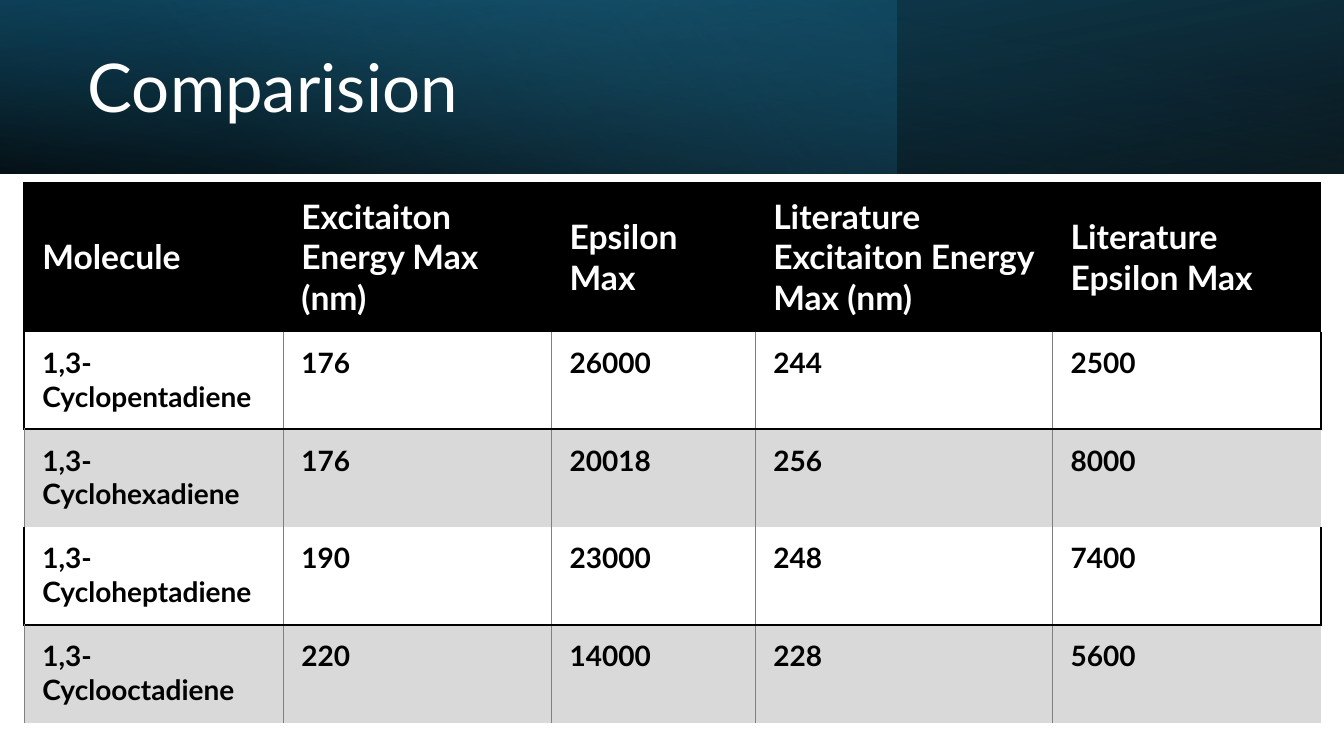
from lxml import etree
from pptx import Presentation
from pptx.dml.color import RGBColor
from pptx.enum.shapes import MSO_SHAPE
from pptx.enum.text import MSO_ANCHOR, MSO_AUTO_SIZE, PP_ALIGN
from pptx.oxml import parse_xml
from pptx.oxml.ns import nsdecls, qn
from pptx.util import Inches, Pt

RECT = MSO_SHAPE.RECTANGLE
MIDDLE, TOP = MSO_ANCHOR.MIDDLE, MSO_ANCHOR.TOP
LEFT = PP_ALIGN.LEFT
NO_AUTOSIZE = MSO_AUTO_SIZE.NONE

WHITE = RGBColor(0xFF, 0xFF, 0xFF)
BLACK = RGBColor(0x00, 0x00, 0x00)
BAND_GRAY = RGBColor(0xD9, 0xD9, 0xD9)
RULE_GRAY = RGBColor(0x80, 0x80, 0x80)
DEEP_TEAL = RGBColor(0x10, 0x48, 0x62)
TEAL = RGBColor(0x15, 0x60, 0x82)
SKY = RGBColor(0x46, 0xB1, 0xE1)

FONT = "Lato"
PLAIN_TABLE = "{2D5ABB26-0587-4C30-8999-92F81FD0307C}"
THICK, THIN = (BLACK, 1.5), (RULE_GRAY, 0.5)

BANNER_HEIGHT = 1.72
COLUMN_WIDTHS = [2.57, 2.66, 2.02, 2.95, 2.66]
ROW_HEIGHT = 0.97
ROWS = [
    ["Molecule", "Excitaiton Energy Max (nm)", "Epsilon Max",
     "Literature Excitaiton Energy Max (nm)", "Literature Epsilon Max"],
    ["1,3-Cyclopentadiene", "176", "26000", "244", "2500"],
    ["1,3-Cyclohexadiene", "176", "20018", "256", "8000"],
    ["1,3-Cycloheptadiene", "190", "23000", "248", "7400"],
    ["1,3-Cyclooctadiene", "220", "14000", "228", "5600"],
]


def write_text(tf, text, size, color, bold=False, spacing=None):
    p = tf.paragraphs[0]
    p.alignment = LEFT
    if spacing:
        p.line_spacing = spacing
    r = p.add_run()
    r.text = text
    r.font.name = FONT
    r.font.size = Pt(size)
    r.font.bold = bold
    r.font.color.rgb = color


def set_borders(cell, **sides):
    """Give each named side (L, R, T, B) its (color, width); hide the others."""
    tc_pr = cell._tc.get_or_add_tcPr()
    for i, side in enumerate("LRTB"):
        ln = etree.Element(qn(f"a:ln{side}"))
        if sides.get(side):
            color, width = sides[side]
            ln.set("w", str(Pt(width)))
            fill = etree.SubElement(ln, qn("a:solidFill"))
            etree.SubElement(fill, qn("a:srgbClr"), val=str(color))
        else:
            etree.SubElement(ln, qn("a:noFill"))
        tc_pr.insert(i, ln)


class ComparisonSlide:
    def __init__(self, prs):
        self.slide = prs.slides.add_slide(prs.slide_layouts[5])

    def gradient_band(self, width, stops, angle, flip=False, rotation=0):
        """Add a banner layer; stops are (position %, color, opacity %)."""
        sp = self.slide.shapes.add_shape(
            RECT, 0, 0, Inches(width), Inches(BANNER_HEIGHT))
        sp.shadow.inherit = False
        sp.line.fill.background()
        sp.rotation = rotation
        sp_pr = sp._element.spPr
        if flip:
            sp_pr.find(qn("a:xfrm")).set("flipH", "1")
        gs = "".join(
            f'<a:gs pos="{pos * 1000}"><a:srgbClr val="{color}">'
            f'<a:alpha val="{opacity * 1000}"/></a:srgbClr></a:gs>'
            for pos, color, opacity in stops)
        sp_pr.find(qn("a:prstGeom")).addnext(parse_xml(
            f'<a:gradFill {nsdecls("a")} rotWithShape="1"><a:gsLst>{gs}</a:gsLst>'
            f'<a:lin ang="{angle * 60000}" scaled="0"/></a:gradFill>'))

    def title(self, text, left, top, width, height):
        sp = self.slide.shapes.title
        sp.left, sp.top = Inches(left), Inches(top)
        sp.width, sp.height = Inches(width), Inches(height)
        tf = sp.text_frame
        tf.word_wrap = True
        tf.auto_size = NO_AUTOSIZE
        tf.vertical_anchor = MIDDLE
        write_text(tf, text, 48, WHITE, spacing=0.9)
        # Bring the title in front of the banner layers
        self.slide.shapes._spTree.append(sp._element)

    def table(self, rows, left, top):
        frame = self.slide.shapes.add_table(
            len(rows), len(COLUMN_WIDTHS), Inches(left), Inches(top),
            Inches(sum(COLUMN_WIDTHS)), Inches(ROW_HEIGHT * len(rows)))
        table = frame.table
        table.first_row = table.horz_banding = False
        table._tbl.tblPr.find(qn("a:tableStyleId")).text = PLAIN_TABLE
        for column, width in zip(table.columns, COLUMN_WIDTHS):
            column.width = Inches(width)
        for i, values in enumerate(rows):
            table.rows[i].height = Inches(ROW_HEIGHT)
            for j, value in enumerate(values):
                self.cell(table.cell(i, j), value, i, j)

    def cell(self, cell, value, row, col):
        header, gray = row == 0, row > 0 and row % 2 == 0
        first, last = col == 0, col == len(COLUMN_WIDTHS) - 1
        cell.margin_left = Inches(0.18)
        cell.margin_right = cell.margin_top = cell.margin_bottom = Inches(0.14)
        cell.vertical_anchor = MIDDLE if header else TOP
        write_text(cell.text_frame, value, 24 if header else 20,
                   WHITE if header else BLACK, bold=True)
        if header or gray:
            cell.fill.solid()
            cell.fill.fore_color.rgb = BLACK if header else BAND_GRAY
        else:
            cell.fill.background()
        if header:
            set_borders(cell, L=THICK, T=THICK, R=None if last else THICK)
        elif gray:
            set_borders(cell, L=THIN, T=THICK, R=None if last else THIN)
        else:
            set_borders(cell, L=THICK if first else THIN,
                        R=THICK if last else THIN, B=THICK)


def main():
    prs = Presentation()
    prs.slide_width, prs.slide_height = Inches(13.33), Inches(7.5)
    s = ComparisonSlide(prs)
    s.gradient_band(13.33, [(0, BLACK, 96), (100, DEEP_TEAL, 100)], 100,
                    flip=True, rotation=180)
    s.gradient_band(8.89, [(0, TEAL, 41), (74, SKY, 0)], 140)
    s.gradient_band(13.33, [(0, BLACK, 63), (78, TEAL, 15)], 260, flip=True)
    s.title("Comparision", 0.77, 0.27, 7.72, 1.27)
    s.table(ROWS, 0.24, 1.81)
    prs.save("out.pptx")


if __name__ == "__main__":
    main()
